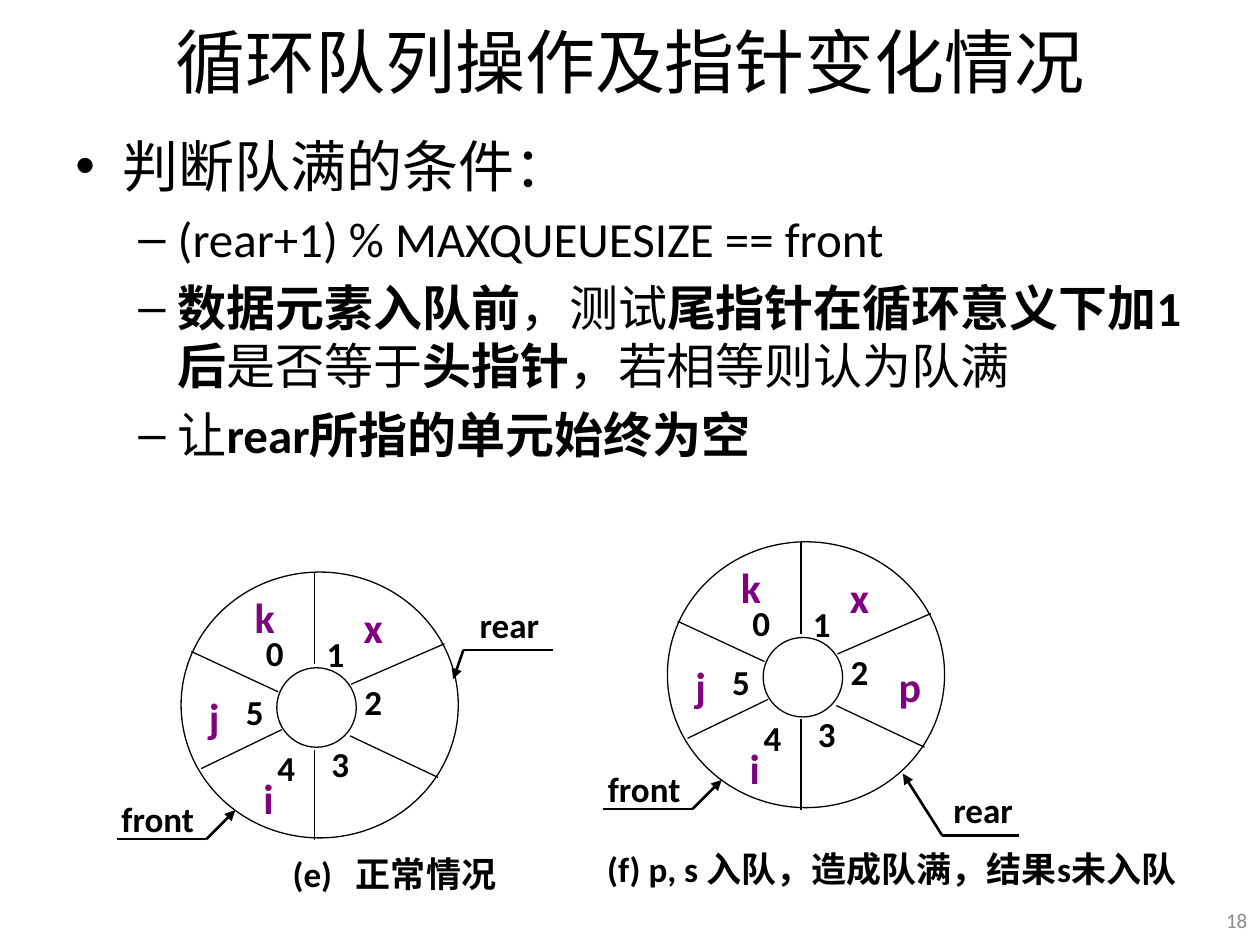
from dataclasses import dataclass

from lxml import etree
from pptx import Presentation
from pptx import util as u
from pptx.dml.color import RGBColor
from pptx.enum import shapes, text
from pptx.oxml.ns import qn

Pt = u.Pt


@dataclass(frozen=True)
class Theme:
    font: str = "Calibri"
    ink: RGBColor = RGBColor(0, 0, 0)
    element: RGBColor = RGBColor(0x80, 0, 0x80)
    faint: RGBColor = RGBColor(0x8C, 0x8C, 0x8C)
    title_size: int = 40
    condition_size: int = 32
    detail_size: int = 28
    element_size: int = 24
    label_size: int = 20
    footer_size: int = 12
    thin: float = 0.75
    thick: float = 1.5


theme = Theme()
CENTER, LEFT, RIGHT = text.PP_ALIGN.CENTER, text.PP_ALIGN.LEFT, text.PP_ALIGN.RIGHT

deck = Presentation()
deck.slide_width, deck.slide_height = Pt(720), Pt(540)
slide = deck.slides.add_slide(deck.slide_layouts[5])


def add_label(words, x, y, w, h, size=theme.label_size, color=theme.ink, bold=True, align=CENTER):
    label = slide.shapes.add_textbox(Pt(x), Pt(y), Pt(w), Pt(h))
    frame = label.text_frame
    frame.text = words
    frame.word_wrap = False
    frame.margin_left = frame.margin_right = 0
    frame.vertical_anchor = text.MSO_ANCHOR.MIDDLE
    frame.paragraphs[0].alignment = align
    font = frame.paragraphs[0].runs[0].font
    font.name, font.size, font.bold = theme.font, Pt(size), bold
    font.color.rgb = color


def add_line(start, end, width=theme.thin, arrow=False):
    line = slide.shapes.add_connector(
        shapes.MSO_CONNECTOR.STRAIGHT, *(Pt(v) for v in (*start, *end)))
    line.line.color.rgb = theme.ink
    line.line.width = Pt(width)
    if arrow:
        etree.SubElement(line.line._get_or_add_ln(), qn("a:tailEnd"), type="triangle")
    etree.SubElement(line._element.spPr, qn("a:effectLst"))


# Title
title = slide.shapes.title
title.left, title.top, title.width, title.height = Pt(36), Pt(-2), Pt(648), Pt(73)
title.text_frame.text = "循环队列操作及指针变化情况"
title.text_frame.vertical_anchor = text.MSO_ANCHOR.MIDDLE
heading = title.text_frame.paragraphs[0]
heading.alignment = CENTER
heading_font = heading.runs[0].font
heading_font.name, heading_font.size = theme.font, Pt(theme.title_size)
heading_font.color.rgb = theme.ink

# Condition for a full queue: each line is (level, [(words, bold), ...])
conditions = [
    (0, [("判断队满的条件：", False)]),
    (1, [("(rear+1) % MAXQUEUESIZE == front", False)]),
    (1, [("数据元素入队前", True), ("，测试", False), ("尾指针在循环意义下加1后", True),
         ("是否等于", False), ("头指针", True), ("，若相等则认为队满", False)]),
    (1, [("让", False), ("rear所指的单元始终为空", True)]),
]
# Per level: bullet, left margin, hanging indent, type size
levels = [("•", 27, 27, theme.condition_size), ("–", 58.5, 22.5, theme.detail_size)]

explanation = slide.shapes.add_textbox(Pt(36), Pt(71.5), Pt(648), Pt(270)).text_frame
explanation.word_wrap = True
for index, (level, parts) in enumerate(conditions):
    item = explanation.add_paragraph() if index else explanation.paragraphs[0]
    bullet, margin, hanging, size = levels[level]
    item.level = level
    item.space_before = Pt(size * 0.2)
    props = item._p.get_or_add_pPr()
    props.set("marL", str(Pt(margin)))
    props.set("indent", str(-Pt(hanging)))
    etree.SubElement(props, qn("a:buFont"), typeface="Arial")
    etree.SubElement(props, qn("a:buChar"), char=bullet)
    for words, bold in parts:
        run = item.add_run()
        run.text = words
        run.font.name, run.font.size, run.font.bold = theme.font, Pt(size), bold
        run.font.color.rgb = theme.ink

# Ring queue geometry, measured from the top left of the outer circle
circles = [(0, 0, 158.4, 151.9), (54.7, 54.7, 45.4, 45.4)]
dividers = [
    ((76.3, 0), (76.3, 52.6)), ((76.3, 101.5), (76.3, 153.4)),
    ((97.2, 64.1), (150.5, 41)), ((11.5, 112.3), (57.6, 90)),
    ((96.5, 93.6), (146.9, 117.4)), ((5.8, 45.4), (55.4, 68.4)),
]
slots = [(39.6, 34.6), (74.2, 35.3), (95.8, 62.6), (77, 97.9), (46.1, 100.1), (28.1, 68.4)]
element_places = {"i": (36, 115.2), "j": (5, 68.4), "k": (33.8, 11.5),
                  "x": (95.8, 17.3), "p": (124.6, 68.4)}

# Pointers: name, label place, label width, underline start, bend, arrow tip
front = ("front", (-38.9, 126.7), 51.1, (-36.7, 152.6), (14.4, 152.6), (31, 136.1))
rear_at_2 = ("rear", (164.9, 15.8), 45.4, (212.4, 44.6), (161.3, 44.6), (155.5, 61.2))
rear_at_3 = ("rear", (157.7, 139), 45.4, (200.9, 167.8), (157, 167.8), (134.6, 132.5))

queues = [
    (103.5, 326.9, "ijkx", [front, rear_at_2]),
    (381.4, 309.6, "ijkxp", [front, rear_at_3]),
]
for left, top, elements, pointers in queues:
    for x, y, w, h in circles:
        circle = slide.shapes.add_shape(
            shapes.MSO_SHAPE.OVAL, Pt(left + x), Pt(top + y), Pt(w), Pt(h))
        circle.shadow.inherit = False
        circle.fill.background()
        circle.line.color.rgb = theme.ink
        circle.line.width = Pt(theme.thin)
    for (x1, y1), (x2, y2) in dividers:
        add_line((left + x1, top + y1), (left + x2, top + y2))
    for number, (x, y) in enumerate(slots):
        add_label(str(number), left + x, top + y, 28, 23)
    for element in elements:
        x, y = element_places[element]
        add_label(element, left + x, top + y, 28, 28, theme.element_size, theme.element)
    for name, (x, y), width, *route in pointers:
        add_label(name, left + x, top + y, width, 28)
        start, bend, tip = [(left + px, top + py) for px, py in route]
        add_line(start, bend, theme.thick)
        add_line(bend, tip, theme.thick, arrow=True)

# Captions and slide number
add_label("(e)   正常情况", 139.7, 482.4, 171.4, 33)
add_label("(f) p, s 入队，造成队满，结果s未入队", 347, 482.4, 350, 28, align=LEFT)
add_label("18", 681.8, 511.2, 31, 28.8, theme.footer_size, theme.faint, False, RIGHT)

deck.save("out.pptx")
